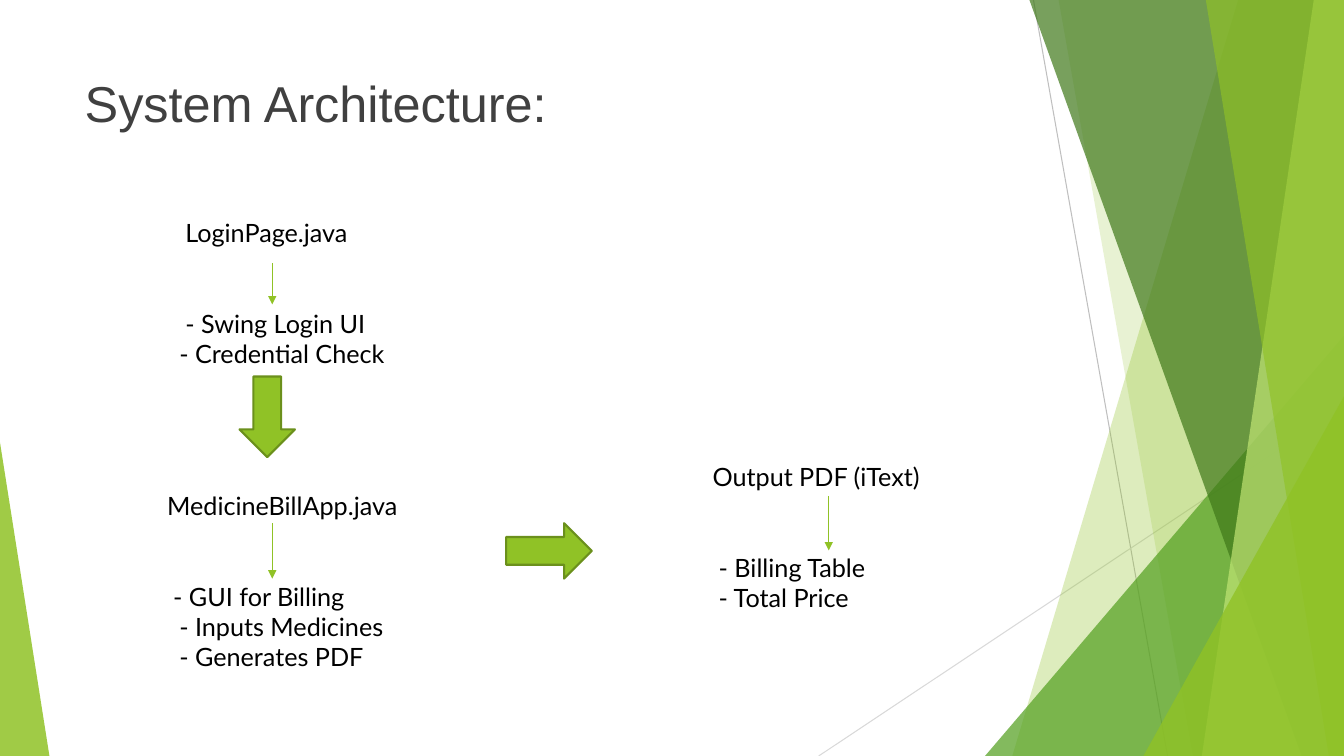
from lxml import etree
from pptx import Presentation
from pptx.dml.color import RGBColor
from pptx.enum.shapes import MSO_CONNECTOR, MSO_SHAPE
from pptx.enum.text import MSO_ANCHOR, MSO_AUTO_SIZE, PP_ALIGN
from pptx.oxml.ns import qn
from pptx.util import Inches, Pt

STRAIGHT = MSO_CONNECTOR.STRAIGHT
TRIANGLE = MSO_SHAPE.ISOSCELES_TRIANGLE
RIGHT_ARROW = MSO_SHAPE.RIGHT_ARROW
TOP, LEFT, NO_FIT = MSO_ANCHOR.TOP, PP_ALIGN.LEFT, MSO_AUTO_SIZE.NONE

GREEN = RGBColor(0x90, 0xC2, 0x26)
MID_GREEN = RGBColor(0x54, 0xA0, 0x21)
DARK_GREEN = RGBColor(0x3F, 0x78, 0x19)
PALE_GREEN = RGBColor(0xC0, 0xE4, 0x74)
OUTLINE_GREEN = RGBColor(0x6B, 0x90, 0x1C)
GRAY = RGBColor(0xBF, 0xBF, 0xBF)
LIGHT_GRAY = RGBColor(0xD9, 0xD9, 0xD9)
TITLE_GRAY = RGBColor(0x40, 0x40, 0x40)
BLACK = RGBColor(0, 0, 0)

WIDTH, HEIGHT = 13.33, 7.5
LINE_PITCH = 21.65  # points between baselines of the body text
INDENT = 0.06       # inches per indent step

# (text, indent steps, lines skipped above)
FLOW = [
    ("LoginPage.java", 3, 0),
    ("- Swing Login UI", 3, 2),
    ("- Credential Check", 2, 0),
    ("MedicineBillApp.java", 0, 4),
    ("- GUI for Billing", 1, 2),
    ("- Inputs Medicines", 2, 0),
    ("- Generates PDF", 2, 0),
]
OUTPUT = [
    ("Output PDF (iText)", 1, 0),
    ("- Billing Table", 2, 2),
    ("- Total Price", 2, 0),
]


def set_text(p, text, size=18, font="Lato", color=BLACK, indent=0, before=0):
    p.alignment = LEFT
    p.space_before = Pt(before)
    if indent:
        p._p.get_or_add_pPr().set("marL", str(Inches(indent)))
    r = p.add_run()
    r.text = text
    r.font.size = Pt(size)
    r.font.name = font
    r.font.color.rgb = color


def add_lines(slide, x, y, w, h, lines):
    tf = slide.shapes.add_textbox(Inches(x), Inches(y), Inches(w), Inches(h)).text_frame
    tf.word_wrap = True
    for i, (text, steps, skipped) in enumerate(lines):
        p = tf.add_paragraph() if i else tf.paragraphs[0]
        set_text(p, text, indent=steps * INDENT, before=skipped * LINE_PITCH)


def paint(sp, color, opacity=100):
    sp.shadow.inherit = False
    sp.fill.solid()
    sp.fill.fore_color.rgb = color
    sp.line.fill.background()
    if opacity < 100:
        clr = sp._element.spPr.find(qn("a:solidFill"))[0]
        etree.SubElement(clr, qn("a:alpha")).set("val", str(opacity * 1000))


def add_band(slide, top_x, bottom_x, color, opacity):
    """Full-height band from a slanted left edge to the right slide edge."""
    corners = [(WIDTH, 0), (WIDTH, HEIGHT), (bottom_x, HEIGHT)]
    fb = slide.shapes.build_freeform(Inches(top_x), 0)
    fb.add_line_segments([(Inches(x), Inches(y)) for x, y in corners], close=True)
    paint(fb.convert_to_shape(), color, opacity)


def add_triangle(slide, x, y, w, apex, color, opacity):
    """Triangle standing on the bottom slide edge."""
    sp = slide.shapes.add_shape(TRIANGLE, Inches(x), Inches(y), Inches(w), Inches(HEIGHT - y))
    sp.adjustments[0] = apex
    paint(sp, color, opacity)


def add_line(slide, x1, y1, x2, y2, color, width, arrow=False):
    cn = slide.shapes.add_connector(STRAIGHT, Inches(x1), Inches(y1), Inches(x2), Inches(y2))
    cn.line.color.rgb = color
    cn.line.width = Pt(width)
    if arrow:
        ln = cn.line._get_or_add_ln()
        etree.SubElement(ln, qn("a:tailEnd")).set("type", "triangle")
    etree.SubElement(cn._element.spPr, qn("a:effectLst"))


def add_block_arrow(slide, x, y, w, h, rotation=0):
    sp = slide.shapes.add_shape(RIGHT_ARROW, Inches(x), Inches(y), Inches(w), Inches(h))
    paint(sp, GREEN)
    sp.line.color.rgb = OUTLINE_GREEN
    sp.line.width = Pt(1.5)
    sp.rotation = rotation


def add_backdrop(slide):
    add_line(slide, 10.25, 0, 11.58, HEIGHT, GRAY, 0.75)
    add_line(slide, WIDTH, 4.03, 8.12, HEIGHT, LIGHT_GRAY, 0.75)
    add_band(slide, 12.28, 10.04, GREEN, 30)
    add_band(slide, 10.5, 11.83, GREEN, 20)
    add_triangle(slide, 9.77, 3.33, 3.56, 1, MID_GREEN, 72)
    add_band(slide, 10.21, 12.91, DARK_GREEN, 70)
    add_band(slide, 13.03, 11.92, PALE_GREEN, 70)
    add_band(slide, 11.96, 13.18, GREEN, 65)
    add_triangle(slide, 11.34, 3.93, 1.99, 1, GREEN, 80)
    add_triangle(slide, 0, 4.39, 0.49, 0, GREEN, 85)


def add_title(slide, text):
    sp = slide.shapes.title
    sp.left, sp.top, sp.width, sp.height = Inches(0.74), Inches(0.67), Inches(9.4), Inches(1.44)
    tf = sp.text_frame
    tf.vertical_anchor = TOP
    tf.auto_size = NO_FIT
    set_text(tf.paragraphs[0], text, size=36, font="Arial", color=TITLE_GRAY)


def main():
    prs = Presentation()
    prs.slide_width, prs.slide_height = Inches(WIDTH), Inches(HEIGHT)
    slide = prs.slides.add_slide(prs.slide_layouts[5])

    # Decoration and title
    add_backdrop(slide)
    add_title(slide, "System Architecture:")

    # Architecture text
    add_lines(slide, 1.56, 2.11, 8, 5.35, FLOW)
    add_lines(slide, 6.91, 4.53, 4.86, 1.62, OUTPUT)

    # Thin arrows from each component to its details
    for x, top, bottom in [(2.7, 2.61, 3.02), (2.7, 5.19, 5.74), (8.22, 4.92, 5.46)]:
        add_line(slide, x, top, x, bottom, GREEN, 1, arrow=True)

    # Block arrows between components
    add_block_arrow(slide, 2.25, 3.86, 0.8, 0.55, rotation=90)
    add_block_arrow(slide, 5.02, 5.19, 0.85, 0.55)

    prs.save("out.pptx")


if __name__ == "__main__":
    main()
